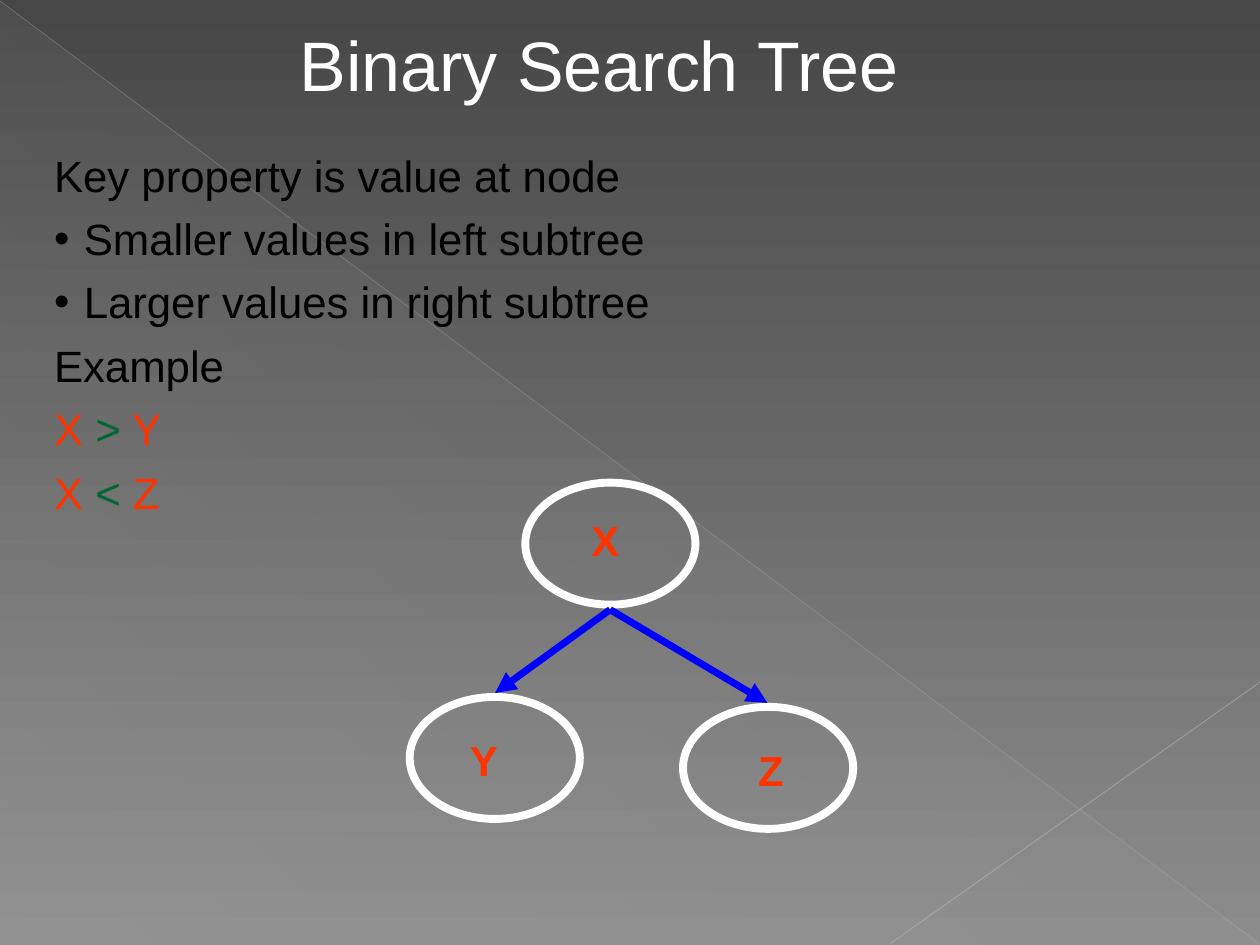
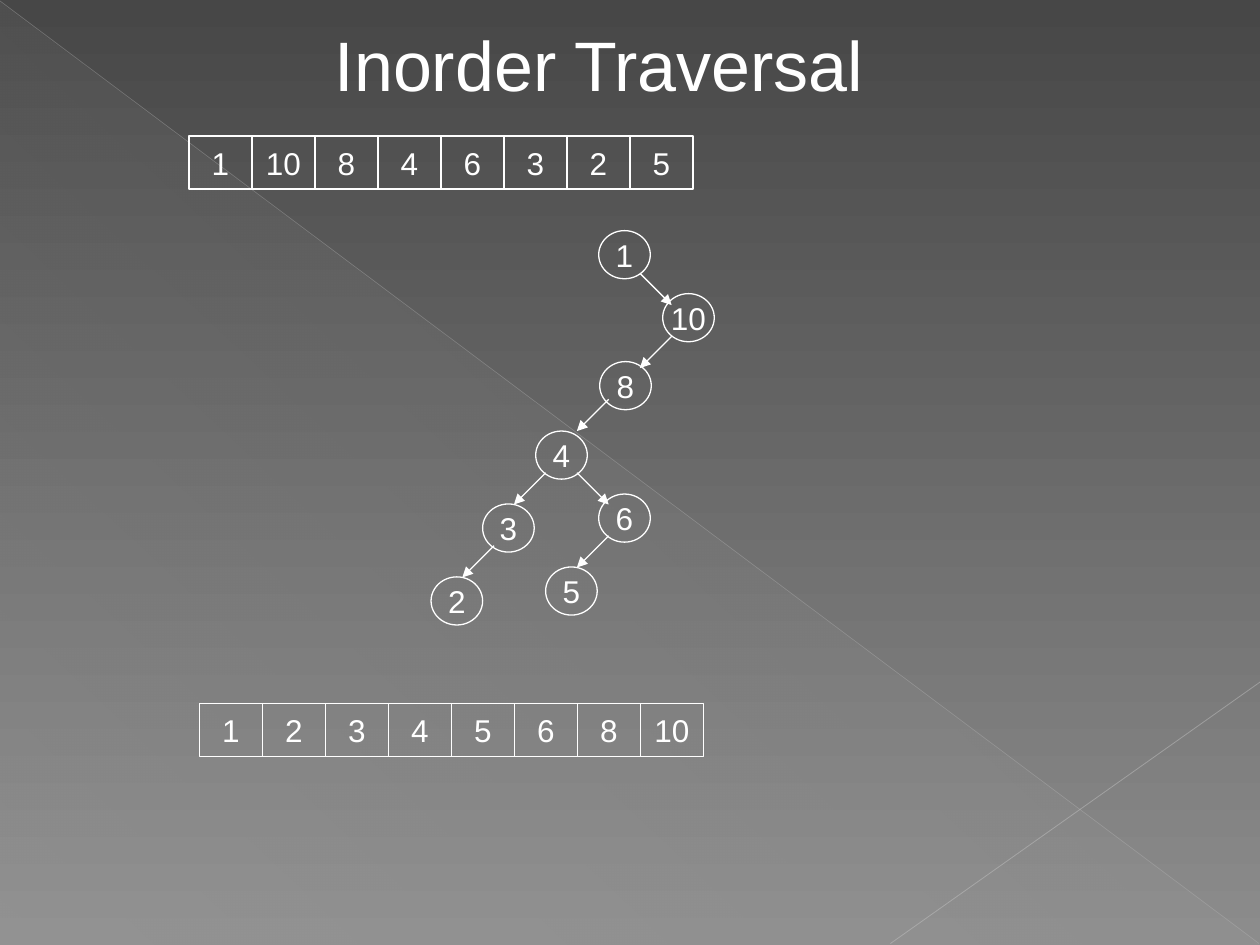
from pptx import Presentation
from pptx.dml.color import RGBColor
from pptx.enum.shapes import MSO_CONNECTOR, MSO_SHAPE
from pptx.enum.text import MSO_ANCHOR, MSO_AUTO_SIZE, PP_ALIGN
from pptx.oxml.ns import qn
from pptx.util import Cm, Pt
from lxml.etree import SubElement

# Shared look; all lengths are in centimetres
FONT = "Arial"
WHITE, BLACK, BLUE = "FFFFFF", "000000", "0000FF"
ORANGE, GREEN = "FF3300", "006633"
SLIDE_WIDTH, SLIDE_HEIGHT = 25.4, 19.05
BRANCH_STEP = 0.64


def color(hex_string):
    return RGBColor.from_string(hex_string)


def set_alpha(element, percents):
    """Give each colour inside the element its opacity."""
    for rgb, percent in zip(element.iter(qn("a:srgbClr")), percents):
        SubElement(rgb, qn("a:alpha")).set("val", str(percent * 1000))


def set_gradient(fill, start, end, angle):
    fill.gradient()
    fill.gradient_angle = angle
    for stop, position, hex_string in zip(fill.gradient_stops, (0, 1), (start, end)):
        stop.color.rgb = color(hex_string)
        stop.position = position


def format_run(run, size, hex_string, bold=False):
    run.font.name = FONT
    run.font.size = Pt(size)
    run.font.bold = bold
    run.font.color.rgb = color(hex_string)


def add_line(slide, start, end, hex_string, width, arrow=False, opacity=None):
    line = slide.shapes.add_connector(
        MSO_CONNECTOR.STRAIGHT, *(Cm(value) for value in (*start, *end)))
    line.line.color.rgb = color(hex_string)
    line.line.width = Pt(width)
    properties = line.element.spPr
    if opacity:
        set_alpha(properties, [opacity])
    if arrow:
        SubElement(properties.find(qn("a:ln")), qn("a:tailEnd")).set("type", "triangle")
    SubElement(properties, qn("a:effectLst"))


def add_outline(slide, kind, left, top, width, height, line_width, text=None):
    """Add an unfilled white outline, with a centred label if text is given."""
    shape = slide.shapes.add_shape(kind, Cm(left), Cm(top), Cm(width), Cm(height))
    shape.shadow.inherit = False
    shape.fill.background()
    shape.line.color.rgb = color(WHITE)
    shape.line.width = Pt(line_width)
    if text is not None:
        frame = shape.text_frame
        frame.text = str(text)
        frame.word_wrap = False
        frame.vertical_anchor = MSO_ANCHOR.MIDDLE
        frame.paragraphs[0].alignment = PP_ALIGN.CENTER
        format_run(frame.paragraphs[0].runs[0], 18, WHITE)


def add_text_frame(slide, left, top, width, height):
    box = slide.shapes.add_textbox(Cm(left), Cm(top), Cm(width), Cm(height))
    frame = box.text_frame
    frame.word_wrap = True
    frame.auto_size = MSO_AUTO_SIZE.SHAPE_TO_FIT_TEXT
    return frame


def add_label(slide, text, left, top, width, height, size, hex_string, bold=False):
    frame = add_text_frame(slide, left, top, width, height)
    frame.text = text
    frame.paragraphs[0].alignment = PP_ALIGN.CENTER
    format_run(frame.paragraphs[0].runs[0], size, hex_string, bold)


def add_bullet(paragraph):
    properties = paragraph._p.get_or_add_pPr()
    properties.set("marL", str(Cm(0.6)))
    properties.set("indent", str(Cm(-0.6)))
    SubElement(properties, qn("a:buFont")).set("typeface", FONT)
    SubElement(properties, qn("a:buChar")).set("char", "•")


def add_body(slide, lines):
    """Each line is a bullet flag followed by its (text, colour) runs."""
    frame = add_text_frame(slide, 0.84, 2.87, 23.29, 7.72)
    for index, (bulleted, *runs) in enumerate(lines):
        paragraph = frame.add_paragraph() if index else frame.paragraphs[0]
        paragraph.alignment = PP_ALIGN.JUSTIFY
        paragraph.space_before = Pt(6.2)
        if bulleted:
            add_bullet(paragraph)
        for text, hex_string in runs:
            run = paragraph.add_run()
            run.text = text
            format_run(run, 25, hex_string)


def add_array(slide, values, left, top):
    width, height = 1.27, 1.07
    for index, value in enumerate(values):
        add_outline(slide, MSO_SHAPE.RECTANGLE, left + index * width, top,
                    width, height, 0.75, value)


def add_titled_slide(presentation, title):
    slide = presentation.slides.add_slide(presentation.slide_layouts[6])
    set_gradient(slide.background.fill, "474747", "8C8C8C", 270)

    # Pale triangle and the two thin diagonals
    triangle = slide.shapes.add_shape(
        MSO_SHAPE.RIGHT_TRIANGLE, Cm(0.02), Cm(0.05), Cm(25.38), Cm(19))
    triangle.shadow.inherit = False
    triangle.line.fill.background()
    set_gradient(triangle.fill, "D2D2D2", "D2D2D2", 227)
    set_alpha(triangle.element.spPr, [1, 10])
    add_line(slide, (0, 0.02), (25.38, 19.02), "BFBFBF", 0.4, opacity=35)
    add_line(slide, (25.4, 13.75), (17.95, 19.02), "C6C6C6", 0.48, opacity=45)

    add_label(slide, title, 2.97, 0.3, 18.21, 1.96, 40, WHITE)
    return slide


def build_search_tree(presentation):
    slide = add_titled_slide(presentation, "Binary Search Tree")
    add_body(slide, [
        (False, ("Key property is value at node", BLACK)),
        (True, ("Smaller values in left subtree", BLACK)),
        (True, ("Larger values in right subtree", BLACK)),
        (False, ("Example", BLACK)),
        (False, ("X ", ORANGE), (">", GREEN), (" Y", ORANGE)),
        (False, ("X ", ORANGE), ("<", GREEN), (" Z", ORANGE)),
    ])

    # Root X with children Y and Z: oval corner, then label corner and width
    for name, oval, label, label_width in (
            ("X", (10.59, 9.73), (11, 10.24), 2.41),
            ("Y", (8.26, 14.05), (8.89, 14.68), 1.73),
            ("Z", (13.77, 14.25), (14.17, 14.88), 2.74)):
        add_outline(slide, MSO_SHAPE.OVAL, *oval, 3.43, 2.46, 4.5)
        add_label(slide, name, *label, label_width, 1.27, 24, ORANGE, bold=True)
    for child in ((15.47, 14.17), (9.98, 13.97)):
        add_line(slide, (12.3, 12.29), child, BLUE, 4, arrow=True)


def build_inorder_traversal(presentation):
    slide = add_titled_slide(presentation, "Inorder Traversal")
    values = [1, 10, 8, 4, 6, 3, 2, 5]
    add_array(slide, values, 3.81, 2.74)

    # Tree nodes, in insertion order
    corners = [(12.07, 4.65), (13.36, 5.92), (12.09, 7.29), (10.8, 8.69),
               (12.07, 9.96), (9.73, 10.16), (8.69, 11.63), (11, 11.43)]
    for value, corner in zip(values, corners):
        add_outline(slide, MSO_SHAPE.OVAL, *corner, 1.04, 0.97, 0.75, value)

    # Branches drop one step to the left (-1) or right (1)
    for x, y, side in ((12.9, 5.51, 1), (13.54, 6.78, -1), (12.27, 8.05, -1),
                       (11.63, 9.53, 1), (11, 9.53, -1), (9.96, 11, -1),
                       (12.27, 10.8, -1)):
        end = (x + side * BRANCH_STEP, y + BRANCH_STEP)
        add_line(slide, (x, y), end, WHITE, 0.75, arrow=True)

    add_array(slide, sorted(values), 4.02, 14.18)


def main():
    presentation = Presentation()
    presentation.slide_width = Cm(SLIDE_WIDTH)
    presentation.slide_height = Cm(SLIDE_HEIGHT)
    build_search_tree(presentation)
    build_inorder_traversal(presentation)
    presentation.save("out.pptx")


if __name__ == "__main__":
    main()
